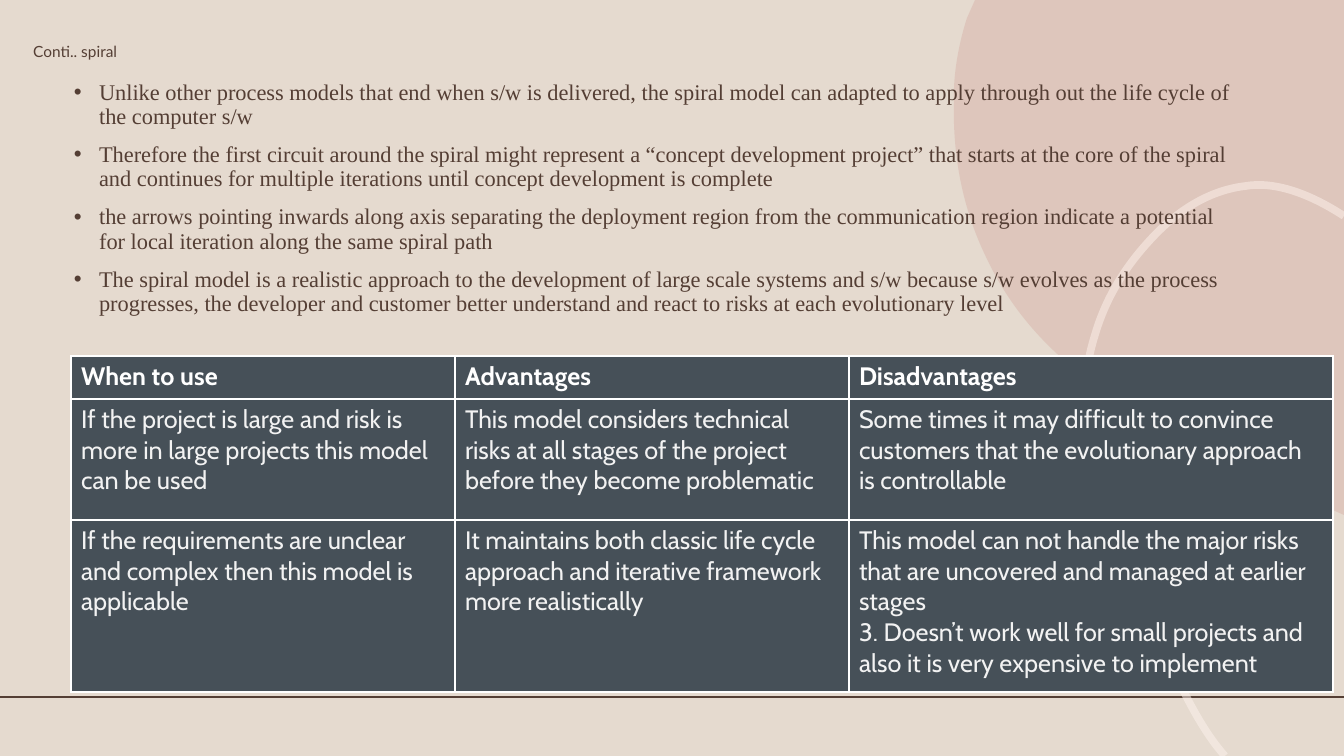
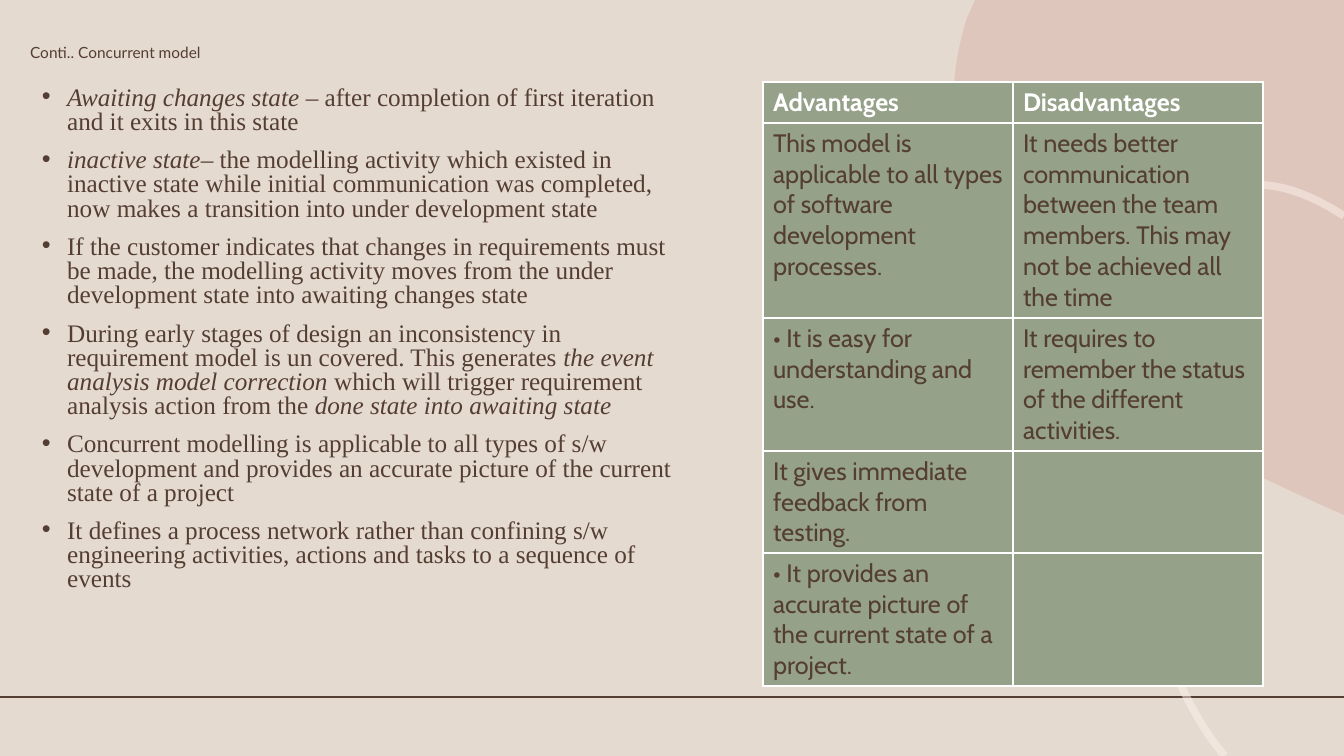
from dataclasses import dataclass

from lxml import etree
from pptx import Presentation
from pptx import util as u
from pptx.dml.color import RGBColor
from pptx.enum import shapes, text
from pptx.oxml import ns

SCALE = 12192000 / 1344
WIDE, HIGH = 1344, 756

HUES = {
    "sand": "E5DACF",
    "brown": "543E34",
    "rose": "CF9B92",
    "cream": "FEF3ED",
    "slate": "465058",
    "sage": "95A189",
    "white": "FFFFFF",
    "pale": "F2F2F2",
}

BLOB = [
    (975, 0), (1344, 0), (1344, 515), (1317, 503),
    (1145, 424, 1040, 372, 986, 257),
    (956, 195, 953, 136, 954, 102),
    (953, 80, 957, 49, 967, 18),
]
RING = [
    (1225, 756),
    (1208, 737, 1188, 705, 1165, 650),
    (1103, 511, 1066, 427, 1095, 335),
    (1109, 287, 1136, 255, 1153, 237),
    (1170, 219, 1202, 191, 1246, 186),
    (1251, 185, 1257, 185, 1262, 185),
    (1289, 186, 1318, 199, 1344, 216),
]


@dataclass(frozen=True)
class Box:
    left: int
    top: int
    width: int
    height: int


@dataclass(frozen=True)
class Run:
    words: str
    slant: bool = False


@dataclass(frozen=True)
class List:
    box: Box
    size: int
    pitch: float
    items: list[list[Run]]


@dataclass(frozen=True)
class Grid:
    left: int
    top: int
    cols: list[int]
    rows: list[int]
    fill: str
    ink: str
    cells: list[list[str]]


@dataclass(frozen=True)
class Page:
    title: str
    head: Box
    body: List
    grid: Grid


PAGES = [
    Page(
        "Conti.. spiral",
        Box(23, 15, 1159, 75),
        List(Box(64, 76, 1180, 625), 16, 0.9, [
            [Run("Unlike other process models that end when s/w is delivered, the spiral model can "
                 "adapted to apply through out the life cycle of the computer s/w")],
            [Run("Therefore the first circuit around the spiral might represent a “concept "
                 "development project” that starts at the core of the spiral and continues for "
                 "multiple iterations until concept development is complete")],
            [Run("the arrows pointing inwards along axis separating the deployment region from the "
                 "communication region indicate a potential for local iteration along the same "
                 "spiral path")],
            [Run("The spiral model is a realistic approach to the development of large scale "
                 "systems and s/w because s/w evolves as the process progresses, the developer and "
                 "customer better understand and react to risks at each evolutionary level")],
        ]),
        Grid(71, 356, [384, 394, 484], [43, 121, 172], "slate", "pale", [
            ["When to use", "Advantages", "Disadvantages"],
            ["If the project is large and risk is more in large projects this model can be used",
             "This model considers technical risks at all stages of the project before they become "
             "problematic",
             "Some times it may difficult to convince customers that the evolutionary approach is "
             "controllable"],
            ["If the requirements are unclear and complex then this model is applicable",
             "It maintains both classic life cycle approach and iterative framework more "
             "realistically",
             "This model can not handle the major risks that are uncovered and managed at earlier "
             "stages\n3. Doesn’t work well for small projects and also it is very expensive to "
             "implement"],
        ]),
    ),
    Page(
        "Conti.. Concurrent model",
        Box(20, 16, 1159, 75),
        List(Box(32, 82, 660, 518), 18, 0.8, [
            [Run("Awaiting changes state ", True),
             Run("– after completion of first iteration and it exits in this state")],
            [Run("inactive state", True),
             Run("– the modelling activity which existed in inactive state while initial "
                 "communication was completed, now makes a transition into under development "
                 "state")],
            [Run("If the customer indicates that changes in requirements must be made, the "
                 "modelling activity moves from the under development state into awaiting changes "
                 "state")],
            [Run("During early stages of design an inconsistency in requirement model is un "
                 "covered. This generates "),
             Run("the event analysis model correction ", True),
             Run("which will trigger requirement analysis action from the "),
             Run("done state into awaiting state", True)],
            [Run("Concurrent modelling is applicable to all types of s/w development and provides "
                 "an accurate picture of the current state of a project")],
            [Run("It defines a process network rather than confining s/w engineering activities, "
                 "actions and tasks to a sequence of events")],
        ]),
        Grid(763, 82, [250, 250], [41, 195, 133, 102, 133], "sage", "brown", [
            ["Advantages", "Disadvantages"],
            ["This model is applicable to all types of software development processes.",
             "It needs better communication between the team members. This may not be achieved all "
             "the time"],
            ["• It is easy for understanding and use.",
             "It requires to remember the status of the different activities."],
            ["It gives immediate feedback from testing.", ""],
            ["• It provides an accurate picture of the current state of a project.", ""],
        ]),
    ),
]


def px(count: int) -> u.Emu:
    return u.Emu(round(count * SCALE))


def hue(name: str) -> RGBColor:
    return RGBColor.from_string(HUES[name])


def place(box: Box) -> tuple:
    return px(box.left), px(box.top), px(box.width), px(box.height)


def add_run(para, words: str, font: str, size: int, ink: str,
            bold: bool = False, slant: bool = False) -> None:
    run = para.add_run()
    run.text = words
    face = run.font
    face.name, face.size, face.bold, face.italic = font, u.Pt(size), bold, slant
    face.color.rgb = hue(ink)


def outline(slide, steps: list[tuple], close: bool):
    first, *rest = [(px(step[-2]), px(step[-1])) for step in steps]
    pen = slide.shapes.build_freeform(*first, scale=1.0)
    pen.add_line_segments(rest, close=close)
    shape = pen.convert_to_shape()
    shape.shadow.inherit = False
    bend(shape, steps[1:])
    return shape


def bend(shape, steps: list[tuple]) -> None:
    lines = list(shape._element.spPr.iter(ns.qn("a:lnTo")))
    for line, step in zip(lines, steps):
        if len(step) == 2:
            continue
        curve = etree.Element(ns.qn("a:cubicBezTo"))
        for x, y in zip(step[::2], step[1::2]):
            etree.SubElement(curve, ns.qn("a:pt"),
                             x=str(px(x) - shape.left), y=str(px(y) - shape.top))
        line.getparent().replace(line, curve)


def fade(shape, share: int) -> None:
    for tint in shape._element.spPr.iter(ns.qn("a:srgbClr")):
        etree.SubElement(tint, ns.qn("a:alpha")).set("val", str(share * 1000))


def add_art(slide) -> None:
    rule = slide.shapes.add_connector(
        shapes.MSO_CONNECTOR.STRAIGHT, px(0), px(697), px(WIDE), px(697))
    rule.line.color.rgb = hue("brown")
    rule.line.width = u.Pt(1.25)
    etree.SubElement(rule._element.spPr, ns.qn("a:effectLst"))

    blob = outline(slide, BLOB, True)
    blob.fill.solid()
    blob.fill.fore_color.rgb = hue("rose")
    blob.line.fill.background()
    fade(blob, 30)

    ring = outline(slide, RING, False)
    ring.fill.background()
    ring.line.color.rgb = hue("cream")
    ring.line.width = u.Pt(5.5)
    fade(ring, 50)


def add_title(slide, words: str, box: Box) -> None:
    title = slide.shapes.title
    title.left, title.top, title.width, title.height = place(box)
    frame = title.text_frame
    frame.word_wrap = True
    frame.auto_size = text.MSO_AUTO_SIZE.NONE
    frame.vertical_anchor = text.MSO_ANCHOR.MIDDLE
    para = frame.paragraphs[0]
    para.alignment = text.PP_ALIGN.LEFT
    para.line_spacing = 0.9
    add_run(para, words, "Lato", 11, "brown")
    slide.shapes._spTree.append(title._element)


def add_list(slide, body: List) -> None:
    frame = slide.shapes.add_textbox(*place(body.box)).text_frame
    frame.word_wrap = True
    for i, item in enumerate(body.items):
        para = frame.add_paragraph() if i else frame.paragraphs[0]
        para.line_spacing = body.pitch
        para.space_before = u.Pt(10)
        props = para._p.get_or_add_pPr()
        props.set("marL", str(u.Inches(0.25)))
        props.set("indent", str(-u.Inches(0.25)))
        etree.SubElement(props, ns.qn("a:buFont")).set("typeface", "Arial")
        etree.SubElement(props, ns.qn("a:buChar")).set("char", "•")
        for run in item:
            add_run(para, run.words, "Times New Roman", body.size, "brown", slant=run.slant)


def add_grid(slide, grid: Grid) -> None:
    box = Box(grid.left, grid.top, sum(grid.cols), sum(grid.rows))
    table = slide.shapes.add_table(len(grid.rows), len(grid.cols), *place(box)).table
    table.horz_banding = False
    for col, width in zip(table.columns, grid.cols):
        col.width = px(width)
    for i, (row, height) in enumerate(zip(table.rows, grid.rows)):
        row.height = px(height)
        head = i == 0
        for cell, words in zip(row.cells, grid.cells[i]):
            cell.fill.solid()
            cell.fill.fore_color.rgb = hue(grid.fill)
            frame = cell.text_frame
            for j, part in enumerate(words.split("\n") if words else []):
                para = frame.add_paragraph() if j else frame.paragraphs[0]
                add_run(para, part, "Cabin", 18, "white" if head else grid.ink, bold=head)


def main() -> None:
    deck = Presentation()
    deck.slide_width, deck.slide_height = px(WIDE), px(HIGH)
    back = deck.slide_master.background.fill
    back.solid()
    back.fore_color.rgb = hue("sand")
    for page in PAGES:
        slide = deck.slides.add_slide(deck.slide_layouts[5])
        add_art(slide)
        add_title(slide, page.title, page.head)
        add_list(slide, page.body)
        add_grid(slide, page.grid)
    deck.save("out.pptx")


if __name__ == "__main__":
    main()
